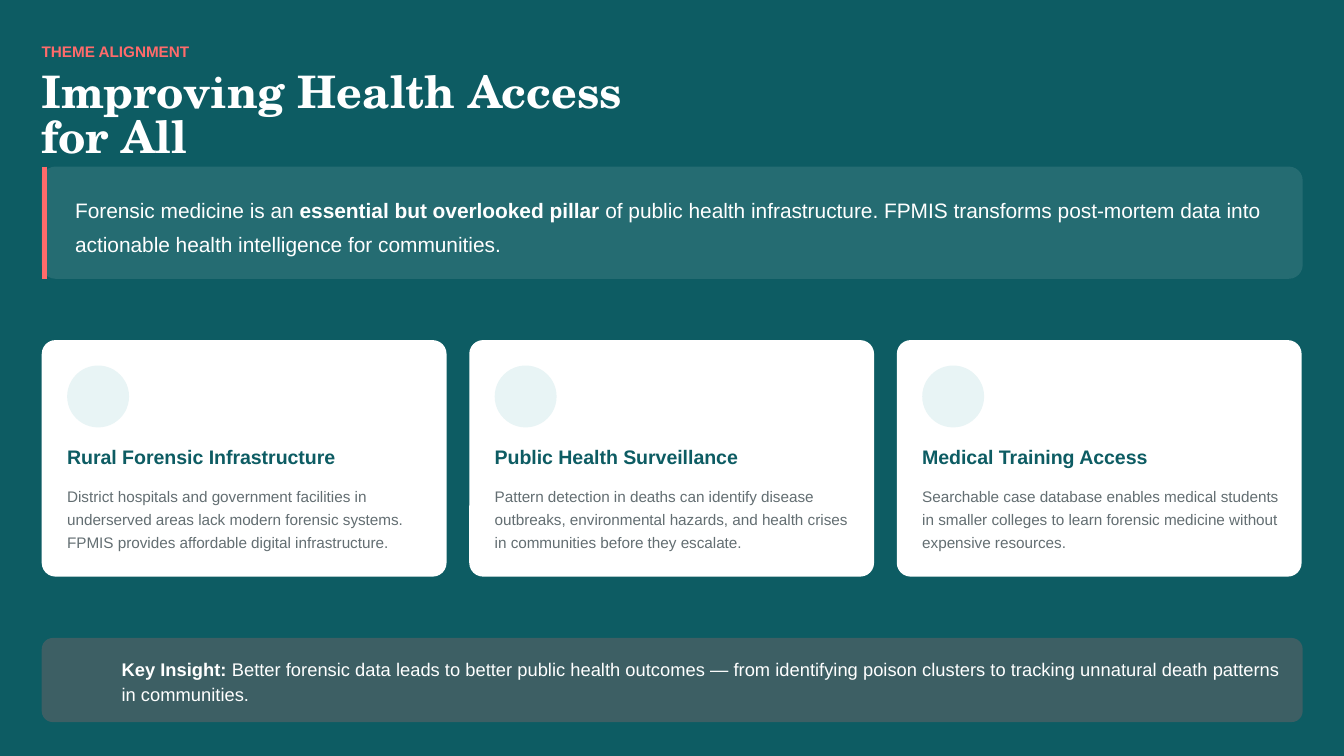
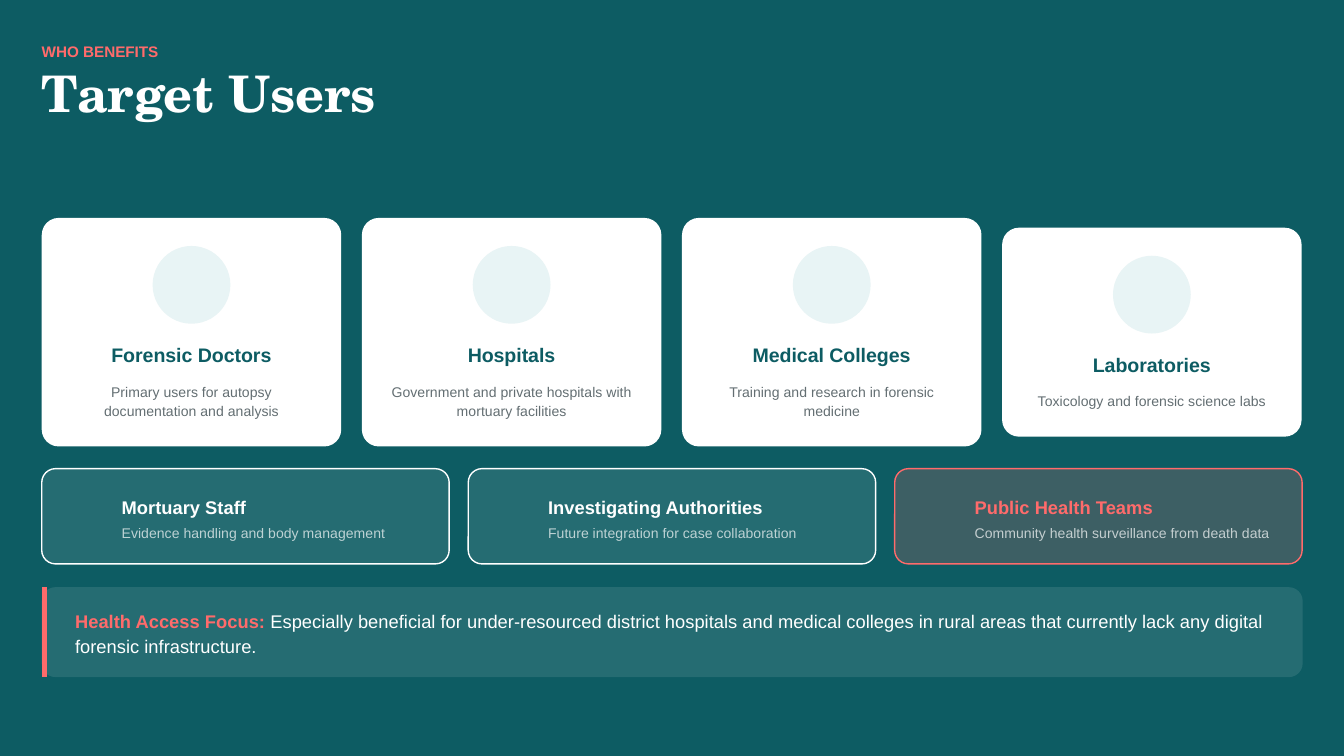
import pptx
import pptx.util
from pptx.dml.color import RGBColor
from pptx.enum.shapes import MSO_CONNECTOR, MSO_SHAPE
from pptx.enum.text import PP_ALIGN
from pptx.oxml.ns import qn
from pptx.oxml.xmlchemy import OxmlElement

Cm, Pt = pptx.util.Cm, pptx.util.Pt

TEAL, CORAL, WHITE = "0D5C63", "FF6B6B", "FFFFFF"
PALE, GREY = "E8F4F5", "636E72"
SANS, SERIF = "Arial", "TeX Gyre Schola"
LEFT, FULL_WIDTH = 0.79, 23.83
BODY_LINE = 0.37

PILLARS = [
    ("Rural Forensic Infrastructure",
     "District hospitals and government facilities in underserved areas lack modern "
     "forensic systems. FPMIS provides affordable digital infrastructure."),
    ("Public Health Surveillance",
     "Pattern detection in deaths can identify disease outbreaks, environmental hazards, "
     "and health crises in communities before they escalate."),
    ("Medical Training Access",
     "Searchable case database enables medical students in smaller colleges to learn "
     "forensic medicine without expensive resources."),
]
# Heading, description, number of description lines
USERS = [
    ("Forensic Doctors", "Primary users for autopsy documentation and analysis", 2),
    ("Hospitals", "Government and private hospitals with mortuary facilities", 2),
    ("Medical Colleges", "Training and research in forensic medicine", 2),
    ("Laboratories", "Toxicology and forensic science labs", 1),
]
# Heading, description, accent colour, fill opacity in percent
TEAMS = [
    ("Mortuary Staff", "Evidence handling and body management", WHITE, 10),
    ("Investigating Authorities", "Future integration for case collaboration", WHITE, 10),
    ("Public Health Teams", "Community health surveillance from death data", CORAL, 20),
]


def rgb(colour):
    return RGBColor.from_string(colour)


def fade(element, opacity):
    """Set the opacity, in percent, of every colour inside an element."""
    if opacity < 100:
        for colour in element.iter(qn("a:srgbClr")):
            alpha = OxmlElement("a:alpha")
            alpha.set("val", str(opacity * 1000))
            colour.append(alpha)


def add_panel(page, left, top, width, height, colour, radius=0.26, opacity=100, outline=None):
    """Add a rounded rectangle; its corner radius is in centimetres."""
    panel = page.shapes.add_shape(MSO_SHAPE.ROUNDED_RECTANGLE,
                                  Cm(left), Cm(top), Cm(width), Cm(height))
    panel.shadow.inherit = False
    panel.adjustments[0] = radius / min(width, height)
    panel.fill.solid()
    panel.fill.fore_color.rgb = rgb(colour)
    fade(panel._element.spPr, opacity)
    if outline:
        panel.line.color.rgb = rgb(outline)
        panel.line.width = Pt(0.75)
    else:
        panel.line.fill.background()


def add_disc(page, left, top, size):
    disc = page.shapes.add_shape(MSO_SHAPE.OVAL, Cm(left), Cm(top), Cm(size), Cm(size))
    disc.shadow.inherit = False
    disc.fill.solid()
    disc.fill.fore_color.rgb = rgb(PALE)
    disc.line.fill.background()


def add_text(page, left, top, width, height, spans, size, spacing, colour=WHITE,
             bold=False, font=SANS, align=PP_ALIGN.LEFT, opacity=100):
    """Add one paragraph: a string, or a list of (text, bold, colour) spans."""
    box = page.shapes.add_textbox(Cm(left), Cm(top), Cm(width), Cm(height))
    frame = box.text_frame
    frame.word_wrap = True
    frame.margin_left = frame.margin_right = frame.margin_top = frame.margin_bottom = 0
    para = frame.paragraphs[0]
    para.alignment = align
    para.line_spacing = Pt(spacing)
    para.font.name = font
    para.font.size = Pt(size)
    if isinstance(spans, str):
        para.add_run().text = spans
        para.font.bold = bold
        para.font.color.rgb = rgb(colour)
    else:
        for text, span_bold, span_colour in spans:
            span = para.add_run()
            span.text = text
            span.font.bold = span_bold
            span.font.color.rgb = rgb(span_colour)
    fade(para._p, opacity)


def add_page(deck, eyebrow, title, title_size):
    """Add a teal page with its small label and serif title."""
    page = deck.slides.add_slide(deck.slide_layouts[6])
    page.background.fill.solid()
    page.background.fill.fore_color.rgb = rgb(TEAL)
    add_text(page, LEFT, 0.74, 24.28, 0.41, eyebrow, 8.2, 11.6, CORAL, bold=True)
    add_text(page, LEFT, 1.37, 12.17, title_size * 0.035, title, title_size, title_size,
             bold=True, font=SERIF)
    return page


def add_banner(page, top, height, text_height, spans, size, spacing):
    """Add a translucent full-width band with a coral bar on its left edge."""
    add_panel(page, LEFT, top, FULL_WIDTH, height, WHITE, opacity=10)
    bar = page.shapes.add_connector(MSO_CONNECTOR.STRAIGHT,
                                    Cm(0.84), Cm(top), Cm(0.84), Cm(top + height))
    bar.line.color.rgb = rgb(CORAL)
    bar.line.width = Pt(3)
    bar._element.spPr.append(OxmlElement("a:effectLst"))
    add_text(page, 1.42, top + (height - text_height) / 2, 23.11, text_height,
             spans, size, spacing)


def add_pillar_card(page, left, heading, body):
    top, inset = 6.43, 0.48
    add_panel(page, left, top, 7.65, 4.47, WHITE)
    add_disc(page, left + inset, top + inset, 1.17)
    add_text(page, left + inset, top + 1.9, 6.83, 0.51, heading, 10.5, 14.7, TEAL, bold=True)
    add_text(page, left + inset, top + 2.69, 6.83, 1.32, body, 8.2, 12.4, GREY)


def add_user_card(page, left, heading, body, lines):
    """Add a centred card whose height follows its number of body lines."""
    width, height, disc, inset = 5.66, 3.58 + lines * BODY_LINE, 1.47, 0.48
    top = 6.28 - height / 2
    text_width = width - 2 * inset
    add_panel(page, left, top, width, height, WHITE, radius=0.32)
    add_disc(page, left + (width - disc) / 2, top + 0.53, disc)
    add_text(page, left + inset, top + 2.29, text_width, 0.51, heading, 10.5, 14.7, TEAL,
             bold=True, align=PP_ALIGN.CENTER)
    add_text(page, left + inset, top + 3.07, text_width, lines * BODY_LINE, body, 7.5, 10.5,
             GREY, align=PP_ALIGN.CENTER)


def add_team_card(page, left, heading, body, accent, opacity):
    top = 8.86
    add_panel(page, left, top, 7.7, 1.8, accent, opacity=opacity, outline=accent)
    add_text(page, left + 1.51, top + 0.46, 5.7, 0.48, heading, 9.8, 13.7, accent, bold=True)
    add_text(page, left + 1.51, top + 1, 5.7, 0.38, body, 7.5, 10.5, opacity=70)


def build_theme_page(deck):
    page = add_page(deck, "THEME ALIGNMENT", "Improving Health Access for All", 24)
    add_banner(page, 3.15, 2.12, 1.27, [
        ("Forensic medicine is an ", False, WHITE),
        ("essential but overlooked pillar", True, WHITE),
        (" of public health infrastructure. FPMIS transforms post-mortem data into "
         "actionable health intelligence for communities.", False, WHITE),
    ], 11.2, 18)
    for index, pillar in enumerate(PILLARS):
        add_pillar_card(page, LEFT + index * 8.08, *pillar)
    add_panel(page, LEFT, 12.06, FULL_WIDTH, 1.59, CORAL, radius=0.21, opacity=20)
    add_text(page, 2.3, 12.37, 22.2, 0.97, [
        ("Key Insight:", True, WHITE),
        (" Better forensic data leads to better public health outcomes — from identifying "
         "poison clusters to tracking unnatural death patterns in communities.", False, WHITE),
    ], 9.8, 13.7)


def build_users_page(deck):
    page = add_page(deck, "WHO BENEFITS", "Target Users", 27)
    for index, user in enumerate(USERS):
        add_user_card(page, LEFT + index * 6.05, *user)
    for index, team in enumerate(TEAMS):
        add_team_card(page, LEFT + index * 8.06, *team)
    add_banner(page, 11.1, 1.7, 0.97, [
        ("Health Access Focus:", True, CORAL),
        (" Especially beneficial for under-resourced district hospitals and medical colleges "
         "in rural areas that currently lack any digital forensic infrastructure.",
         False, WHITE),
    ], 9.8, 13.7)


def main():
    deck = pptx.Presentation()
    deck.slide_width, deck.slide_height = Cm(25.4), Cm(14.29)
    build_theme_page(deck)
    build_users_page(deck)
    deck.save("out.pptx")


if __name__ == "__main__":
    main()
